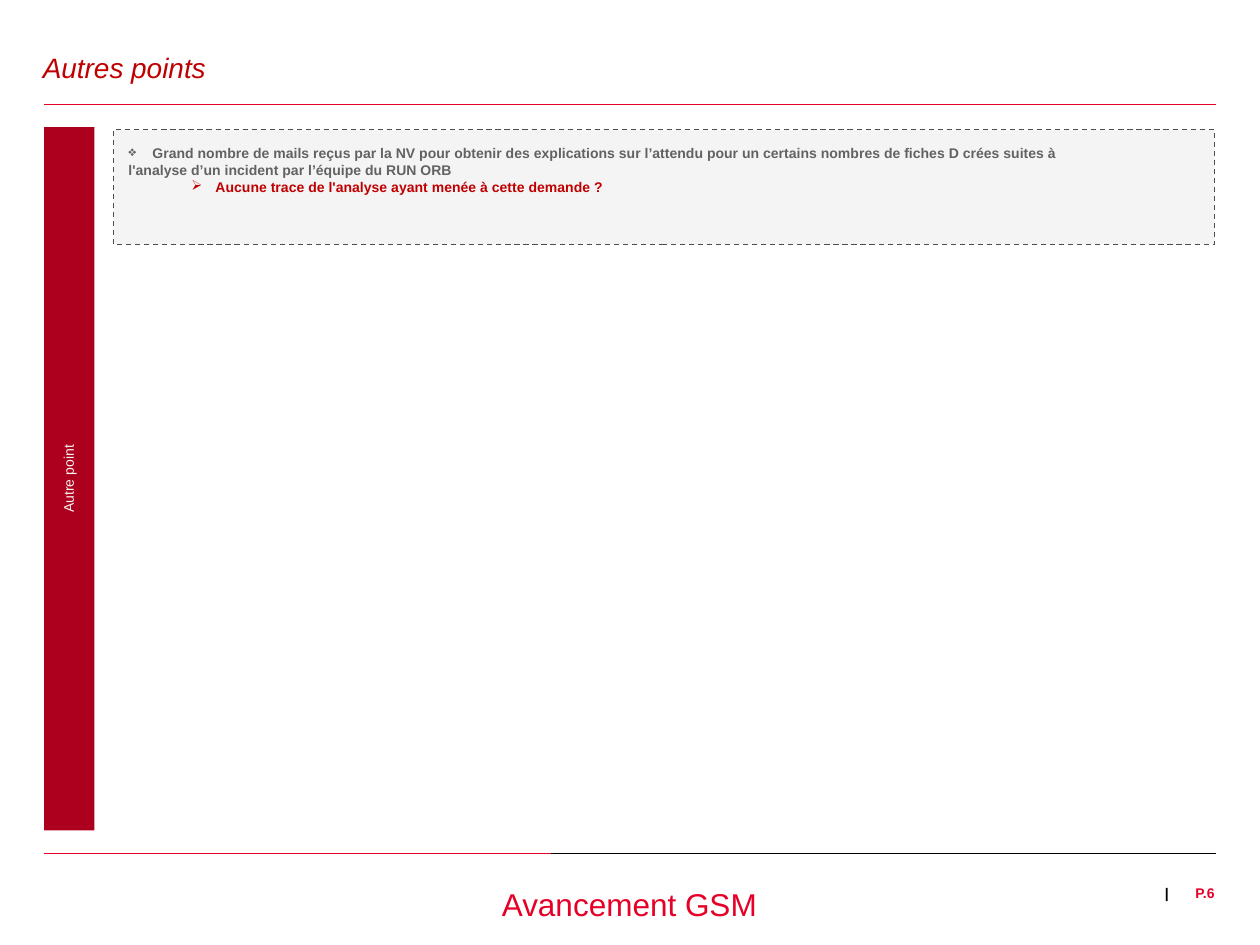
"""Build the "Autres points" slide of the GSM progress report."""
import lxml.etree
import pptx
import pptx.dml.color
import pptx.enum.dml
import pptx.enum.shapes
import pptx.enum.text
import pptx.oxml.ns
import pptx.util

Inches, Pt = pptx.util.Inches, pptx.util.Pt
Align, Anchor = pptx.enum.text.PP_ALIGN, pptx.enum.text.MSO_ANCHOR
qn = pptx.oxml.ns.qn
COLORS = {
    "red": "E60028", "band": "AC001E", "accent": "C00000", "cream": "F8F6EE",
    "panel": "F2F2F2", "border": "4D4D4D", "grey": "626262", "black": "000000",
}


def rgb(name):
    """Return the named palette colour."""
    return pptx.dml.color.RGBColor.from_string(COLORS[name])


def write(paragraph, text, size, color, align=Align.LEFT, bold=False, italic=False):
    """Add one Arial run to a paragraph."""
    paragraph.alignment = align
    run = paragraph.add_run()
    run.text = text
    run.font.name = "Arial"
    run.font.size = Pt(size)
    run.font.bold = bold
    run.font.italic = italic
    run.font.color.rgb = rgb(color)


deck = pptx.Presentation()
deck.slide_width, deck.slide_height = Inches(10), Inches(7.5)
slide = deck.slides.add_slide(deck.slide_layouts[5])
shapes = slide.shapes

for start, y, color in [(0.35, 6.77, "red"), (4.37, 6.77, "black"), (0.35, 0.83, "red")]:
    rule = shapes.add_connector(
        pptx.enum.shapes.MSO_CONNECTOR.STRAIGHT, Inches(9.65), Inches(y), Inches(start), Inches(y))
    rule.line.color.rgb = rgb(color)
    rule.line.width = Pt(0.5)
    lxml.etree.SubElement(rule._element.spPr, qn("a:effectLst"))

title = shapes.title
title.left, title.top, title.width, title.height = (Inches(v) for v in (0.34, 0.28, 9.29, 0.55))
write(title.text_frame.paragraphs[0], "Autres points", 16, "accent", italic=True)
title.text_frame.paragraphs[0].line_spacing = 0.9

footers = [
    ("|", 9.22, 0.08, 8, "black", Align.CENTER, True, False),
    ("P.6", 9.25, 0.39, 8, "red", Align.RIGHT, True, True),
    ("Avancement GSM", 3.03, 3.93, 18, "red", Align.CENTER, False, True),
]
footer_frames = []
for text, left, width, size, color, align, bold, wrap in footers:
    footer = shapes.add_textbox(Inches(left), Inches(7.02), Inches(width), Inches(0.48))
    footer.text_frame.word_wrap = wrap
    write(footer.text_frame.paragraphs[0], text, size, color, align, bold)
    footer_frames.append(footer.text_frame)

RECTANGLE = pptx.enum.shapes.MSO_SHAPE.RECTANGLE
band = shapes.add_shape(RECTANGLE, Inches(0.35), Inches(1.01), Inches(0.4), Inches(5.58))
band.line.fill.background()
band.text_frame._txBody.bodyPr.set("vert", "vert270")
write(band.text_frame.paragraphs[0], "Autre point", 8, "cream", Align.CENTER)
band.text_frame.paragraphs[0].line_spacing = 0.9

panel = shapes.add_shape(RECTANGLE, Inches(0.9), Inches(1.03), Inches(8.74), Inches(0.91))
panel.line.color.rgb = rgb("border")
panel.line.width = Pt(0.75)
panel.line.dash_style = pptx.enum.dml.MSO_LINE.DASH

for box, color in [(band, "band"), (panel, "panel")]:
    box.shadow.inherit = False
    box.fill.solid()
    box.fill.fore_color.rgb = rgb(color)
panel_color = panel._element.spPr.find(qn("a:solidFill"))[0]
lxml.etree.SubElement(panel_color, qn("a:alpha"), val="80000")

for frame in [title.text_frame, band.text_frame, panel.text_frame, *footer_frames]:
    frame.auto_size = pptx.enum.text.MSO_AUTO_SIZE.NONE
    frame.margin_left = frame.margin_top = frame.margin_right = frame.margin_bottom = 0
    frame.vertical_anchor = Anchor.TOP
for frame in (title.text_frame, band.text_frame):
    frame.vertical_anchor = Anchor.MIDDLE
panel.text_frame.margin_left = panel.text_frame.margin_top = Inches(0.12)
panel.text_frame.word_wrap = False

points = [
    ("Grand nombre de mails reçus par la NV pour obtenir des explications sur l’attendu "
     "pour un certains nombres de fiches D crées suites à", "grey", 0, 0.19, "❖"),
    ("l'analyse d’un incident par l’équipe du RUN ORB", "grey", 0, 0, None),
    ("Aucune trace de l'analyse ayant menée à cette demande ?", "accent", 1, 0.69, "➢"),
]
for index, (text, color, level, indent, bullet) in enumerate(points):
    point = panel.text_frame.add_paragraph() if index else panel.text_frame.paragraphs[0]
    write(point, text, 8, color, bold=True)
    point.level = level
    if bullet:
        properties = point._p.get_or_add_pPr()
        properties.set("marL", str(Inches(indent)))
        properties.set("indent", str(-Inches(0.19)))
        lxml.etree.SubElement(properties, qn("a:buChar"), char=bullet)

deck.save("out.pptx")
